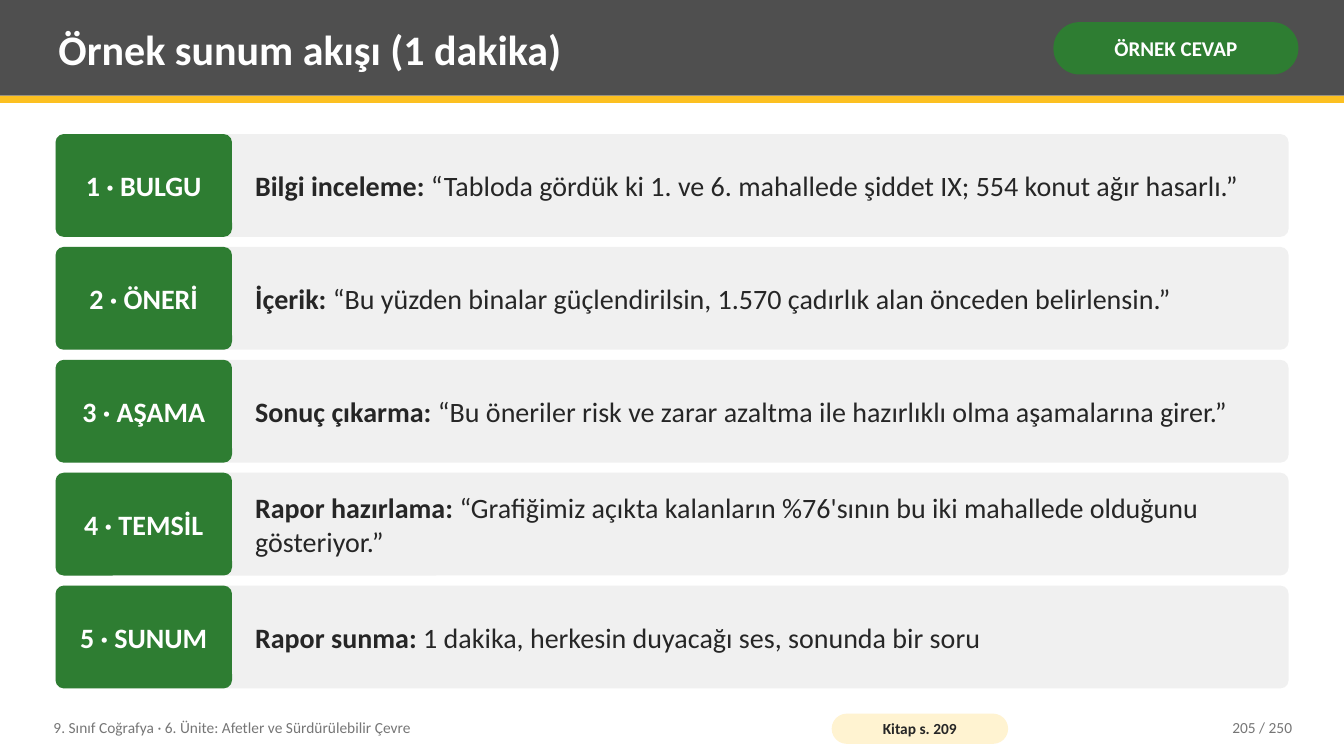
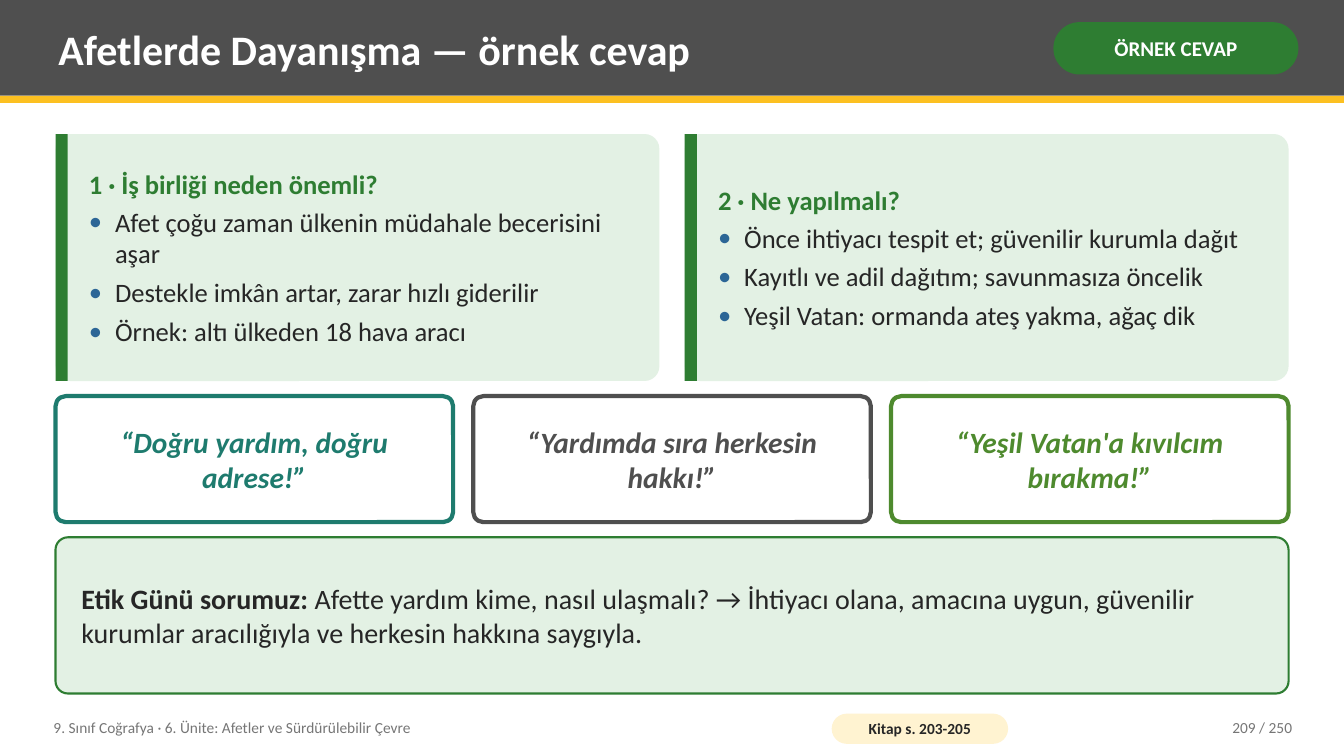
"""Builds two lesson slides: a sample talk outline and a sample answer on solidarity."""
from lxml import etree
from pptx import Presentation
from pptx import util as u
from pptx.dml.color import RGBColor
from pptx.enum import shapes, text
from pptx.oxml.ns import qn

WHITE = RGBColor(0xFF, 0xFF, 0xFF)
INK = RGBColor(0x26, 0x26, 0x26)
SLATE = RGBColor(0x4F, 0x4F, 0x4F)
MUTED = RGBColor(0x76, 0x76, 0x76)
PALE = RGBColor(0xF0, 0xF0, 0xF0)
AMBER = RGBColor(0xFC, 0xC0, 0x21)
CREAM = RGBColor(0xFF, 0xF3, 0xD1)
GREEN = RGBColor(0x2E, 0x7D, 0x32)
MINT = RGBColor(0xE3, 0xF1, 0xE4)
TEAL = RGBColor(0x1E, 0x7B, 0x6E)
LEAF = RGBColor(0x4E, 0x8A, 0x2E)
BLUE = RGBColor(0x2C, 0x66, 0x96)

FONT = "Calibri"
RECT = shapes.MSO_SHAPE.RECTANGLE
ROUND = shapes.MSO_SHAPE.ROUNDED_RECTANGLE
CENTER = text.PP_ALIGN.CENTER
RIGHT = text.PP_ALIGN.RIGHT
MIDDLE = text.MSO_ANCHOR.MIDDLE

LEFT, WIDTH = 4.13, 91.75
TOP, HEIGHT = 17.73, 73.33
UNIT = "9. Sınıf Coğrafya · 6. Ünite: Afetler ve Sürdürülebilir Çevre"
PAGES = 250


def split(start, length, n, gap):
    """Return the starts and the common size of n equal parts."""
    size = (length - gap * (n - 1)) / n
    return [start + i * (size + gap) for i in range(n)], size


class Deck:
    """Holds the style and the current slide; lengths are percent of the slide's size."""

    def __init__(self):
        self.prs = Presentation()
        self.prs.slide_width = u.Inches(13.333)
        self.prs.slide_height = u.Inches(7.5)
        self.s = None

    def x(self, share):
        """Convert a percent of the slide width."""
        return u.Emu(round(self.prs.slide_width * share / 100))

    def y(self, share):
        """Convert a percent of the slide height."""
        return u.Emu(round(self.prs.slide_height * share / 100))

    def box(self, x, y, w, h):
        """Convert a rectangle."""
        return self.x(x), self.y(y), self.x(w), self.y(h)

    def frame(self, sp, inset):
        """Prepare the text frame of a shape."""
        tf = sp.text_frame
        tf.word_wrap = True
        tf.vertical_anchor = MIDDLE
        tf.margin_left = tf.margin_right = self.x(inset[0])
        tf.margin_top = tf.margin_bottom = self.y(inset[1])
        return tf

    def style(self, p, size, color, bold=False, italic=False, align=None):
        """Format every run of a paragraph."""
        p.alignment = align
        for r in p.runs:
            r.font.name, r.font.size = FONT, u.Pt(size)
            r.font.bold, r.font.italic = bold, italic
            r.font.color.rgb = color

    def lead(self, p, head, rest, size=20):
        """Write a bold lead followed by plain text."""
        p.text = head
        p.add_run().text = " " + rest
        self.style(p, size, INK)
        p.runs[0].font.bold = True

    def bullet(self, p):
        """Give a paragraph a coloured bullet and a hanging indent."""
        pPr = p._p.get_or_add_pPr()
        pPr.set("marL", str(self.x(1.95)))
        pPr.set("indent", str(-self.x(1.95)))
        clr = etree.SubElement(pPr, qn("a:buClr"))
        etree.SubElement(clr, qn("a:srgbClr")).set("val", str(BLUE))
        etree.SubElement(pPr, qn("a:buFont")).set("typeface", FONT)
        etree.SubElement(pPr, qn("a:buChar")).set("char", "•")

    def label(self, x, y, w, h):
        """Add an empty text box and return its frame."""
        return self.frame(self.s.shapes.add_textbox(*self.box(x, y, w, h)), (0.6, 0.53))

    def panel(self, x, y, w, h, fill, radius=None, line=None, weight=0):
        """Add a filled rectangle, rounded when a radius is given."""
        kind = RECT if radius is None else ROUND
        sp = self.s.shapes.add_shape(kind, *self.box(x, y, w, h))
        sp.shadow.inherit = False
        sp.fill.solid()
        sp.fill.fore_color.rgb = fill
        if radius is not None:
            sp.adjustments[0] = radius
        if line is None:
            sp.line.fill.background()
        else:
            sp.line.color.rgb = line
            sp.line.width = u.Pt(weight)
        return sp

    def caption(self, sp, words, size, color, inset, italic=False):
        """Write bold centred text in a shape."""
        tf = self.frame(sp, inset)
        tf.text = words
        self.style(tf.paragraphs[0], size, color, True, italic, CENTER)

    def line_of_text(self, x, y, w, h, words, size, color, bold=False, align=None):
        """Add a text box with one paragraph."""
        tf = self.label(x, y, w, h)
        tf.text = words
        self.style(tf.paragraphs[0], size, color, bold, align=align)

    def slide(self, title, source, number):
        """Start a slide with its header and footer."""
        self.s = self.prs.slides.add_slide(self.prs.slide_layouts[6])
        self.panel(0, 0, 100, 12.67, SLATE)
        self.panel(0, 12.67, 100, 0.93, AMBER)
        self.line_of_text(3.75, 0.93, 73.13, 10.93, title, 30, WHITE, True)
        badge = self.panel(78.38, 2.93, 18.23, 6.93, GREEN, 0.5)
        self.caption(badge, "ÖRNEK CEVAP", 15, WHITE, (0.38, 0.27))
        self.line_of_text(3.38, 93.87, 57, 4.8, UNIT, 11, MUTED)
        tag = self.panel(61.88, 94.4, 13.13, 4, CREAM, 0.5)
        self.caption(tag, f"Kitap s. {source}", 11, INK, (0.3, 0))
        self.line_of_text(84.75, 93.87, 12, 4.8, f"{number} / {PAGES}", 11, MUTED, align=RIGHT)

    def step(self, y, h, name, head, rest):
        """Add a row with a named step and its explanation."""
        self.panel(LEFT, y, WIDTH, h, PALE, 0.08)
        self.caption(self.panel(LEFT, y, 13.13, h, GREEN, 0.08), name, 20, WHITE, (0.45, 1.07))
        self.lead(self.label(18.38, y, 76.73, h).paragraphs[0], head, rest)

    def card(self, x, y, w, h, heading, items):
        """Add a card with an edge bar, a heading and bullets."""
        self.panel(x, y, w, h, MINT, 0.06)
        self.panel(x, y, 0.9, h, GREEN)
        tf = self.label(x + 1.88, y + 0.8, w - 2.63, h - 1.6)
        tf.text = heading
        self.style(tf.paragraphs[0], 19, GREEN, True)
        tf.paragraphs[0].space_after = u.Pt(4)
        for item in items:
            p = tf.add_paragraph()
            p.text = item
            self.bullet(p)
            self.style(p, 19, INK)
            p.space_after = u.Pt(0 if item == items[-1] else 5)

    def slogan(self, x, y, w, h, words, color):
        """Add an outlined box with a slogan."""
        sp = self.panel(x, y, w, h, WHITE, 0.08, color, 3)
        self.caption(sp, words, 21, color, (1.05, 1.07), True)

    def question(self, y, h, head, rest):
        """Add a full-width outlined box with a question."""
        sp = self.panel(LEFT, y, WIDTH, h, MINT, 0.08, GREEN, 1.5)
        p = self.frame(sp, (1.65, 1.07)).paragraphs[0]
        self.lead(p, head, rest)
        p.alignment = text.PP_ALIGN.LEFT


STEPS = [
    ("BULGU", "Bilgi inceleme:",
     "“Tabloda gördük ki 1. ve 6. mahallede şiddet IX; 554 konut ağır hasarlı.”"),
    ("ÖNERİ", "İçerik:",
     "“Bu yüzden binalar güçlendirilsin, 1.570 çadırlık alan önceden belirlensin.”"),
    ("AŞAMA", "Sonuç çıkarma:",
     "“Bu öneriler risk ve zarar azaltma ile hazırlıklı olma aşamalarına girer.”"),
    ("TEMSİL", "Rapor hazırlama:",
     "“Grafiğimiz açıkta kalanların %76'sının bu iki mahallede olduğunu gösteriyor.”"),
    ("SUNUM", "Rapor sunma:", "1 dakika, herkesin duyacağı ses, sonunda bir soru"),
]
CARDS = [
    ("1 · İş birliği neden önemli?",
     ["Afet çoğu zaman ülkenin müdahale becerisini aşar",
      "Destekle imkân artar, zarar hızlı giderilir",
      "Örnek: altı ülkeden 18 hava aracı"]),
    ("2 · Ne yapılmalı?",
     ["Önce ihtiyacı tespit et; güvenilir kurumla dağıt",
      "Kayıtlı ve adil dağıtım; savunmasıza öncelik",
      "Yeşil Vatan: ormanda ateş yakma, ağaç dik"]),
]
SLOGANS = [
    ("“Doğru yardım, doğru adrese!”", TEAL),
    ("“Yardımda sıra herkesin hakkı!”", SLATE),
    ("“Yeşil Vatan'a kıvılcım bırakma!”", LEAF),
]


def main():
    """Build and save the deck."""
    d = Deck()
    d.slide("Örnek sunum akışı (1 dakika)", "209", 205)
    rows, h = split(TOP, HEIGHT, len(STEPS), 1.33)
    for i, (y, (name, head, rest)) in enumerate(zip(rows, STEPS), 1):
        d.step(y, h, f"{i} · {name}", head, rest)

    d.slide("Afetlerde Dayanışma — örnek cevap", "203-205", 209)
    cols, w = split(LEFT, WIDTH, len(CARDS), 1.88)
    for x, (heading, items) in zip(cols, CARDS):
        d.card(x, TOP, w, 32.67, heading, items)
    cols, w = split(LEFT, WIDTH, len(SLOGANS), 1.5)
    for x, (words, color) in zip(cols, SLOGANS):
        d.slogan(x, 52.4, w, 16.67, words, color)
    d.question(71.07, 20.67, "Etik Günü sorumuz:",
               "Afette yardım kime, nasıl ulaşmalı? → İhtiyacı olana, amacına uygun, "
               "güvenilir kurumlar aracılığıyla ve herkesin hakkına saygıyla.")
    d.prs.save("out.pptx")


if __name__ == "__main__":
    main()
